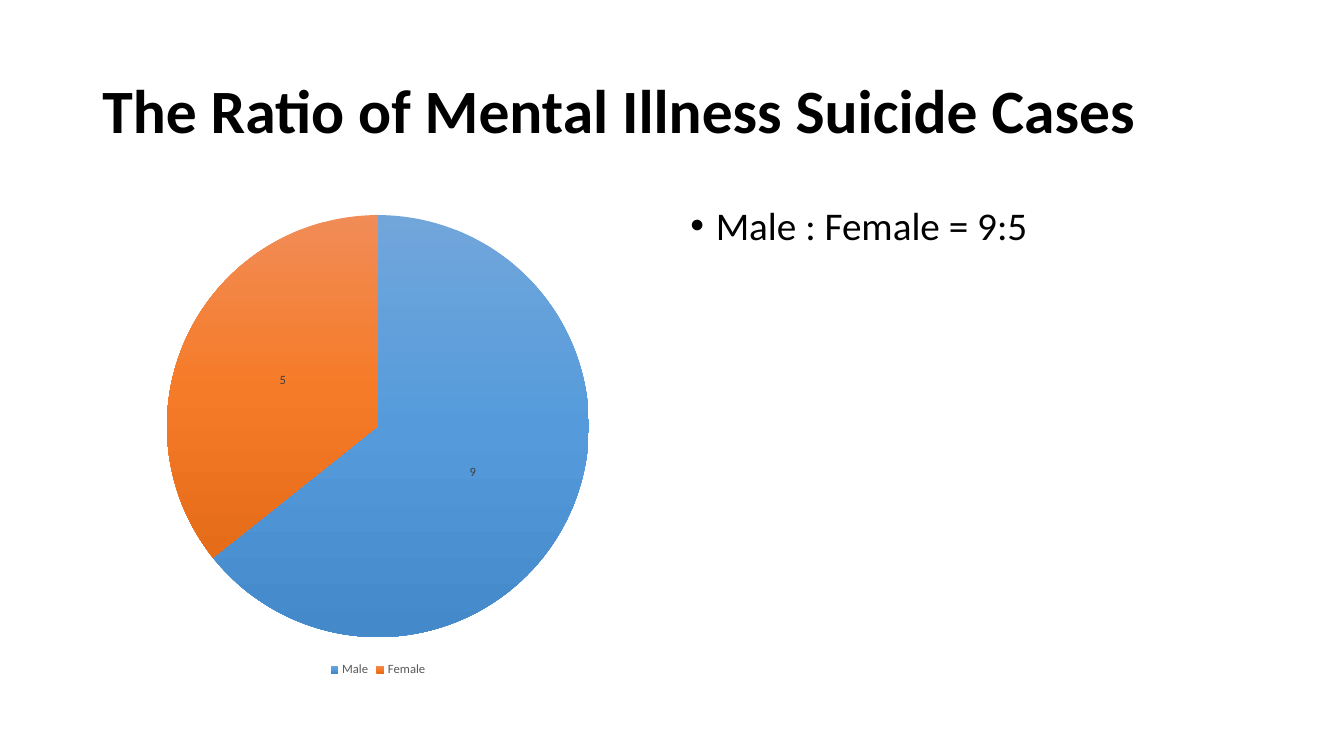
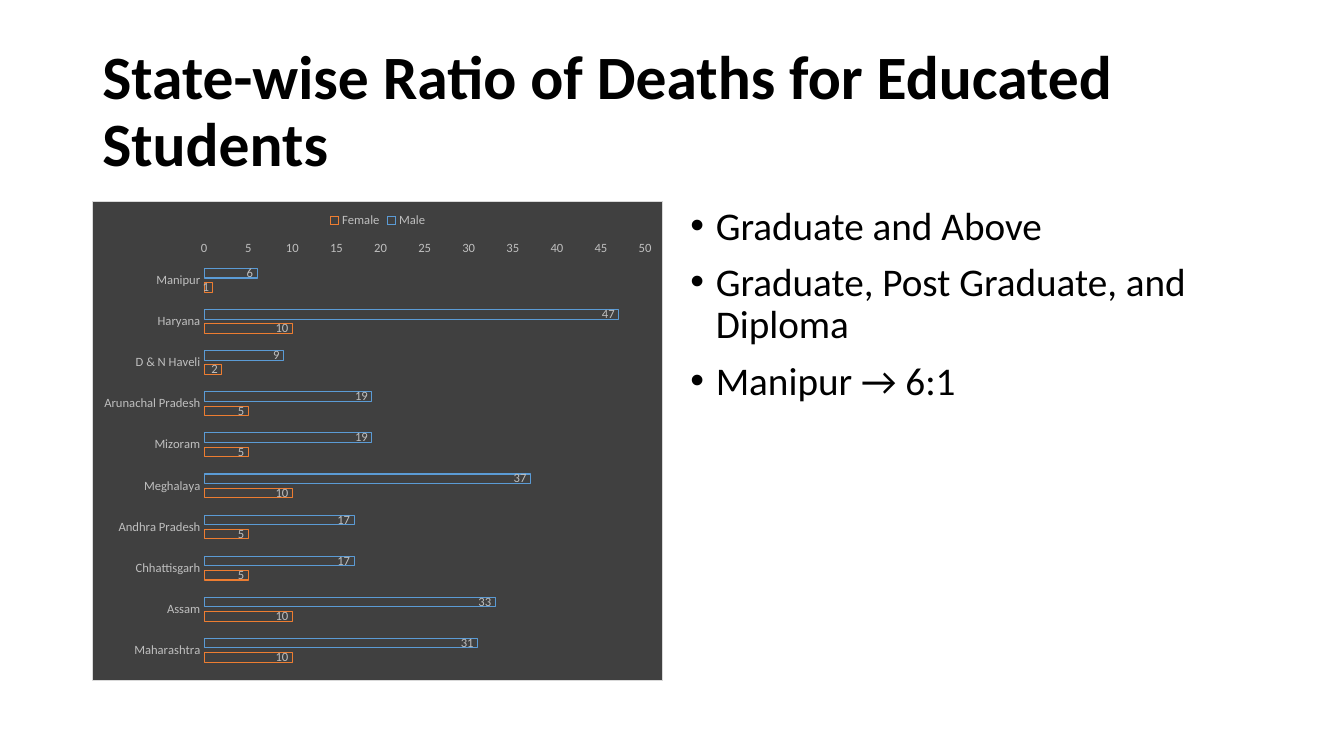
import pptx
import pptx.chart.data
import pptx.dml.color
import pptx.enum.chart
import pptx.enum.text
import pptx.oxml
import pptx.oxml.ns
import pptx.util

Cm = pptx.util.Cm
Pt = pptx.util.Pt
XL = pptx.enum.chart

# Shared look
COLOURS = {
    "text": "000000",
    "pie_label": "404040",
    "pie_legend": "595959",
    "panel": "404040",
    "panel_border": "D9D9D9",
    "panel_text": "BFBFBF",
    "male": "5B9BD5",
    "female": "ED7D31",
}
GRADIENTS = [
    ("71A6DB", "559BDB", "448ACA"),
    ("F18C57", "F67B28", "E56C19"),
]
TITLE_FORMAT = {"name": "Calibri", "size": Pt(44), "bold": True}
BODY_FORMAT = {"name": "Calibri", "size": Pt(28), "bold": False}
CHART_FORMAT = {"name": "Calibri", "size": Pt(9), "bold": False}

# Shared places: left, top, width, height
TITLE_AREA = (Cm(2.33), Cm(1.01), Cm(29.21), Cm(3.68))
CHART_AREA = (Cm(2.33), Cm(5.07), Cm(14.39), Cm(12.09))
BODY_AREA = (Cm(17.15), Cm(5.07), Cm(14.39), Cm(12.09))
BULLET_INDENT = Cm(0.64)

STATES = {  # state: (male, female)
    "Manipur": (6, 1),
    "Haryana": (47, 10),
    "D & N Haveli": (9, 2),
    "Arunachal Pradesh": (19, 5),
    "Mizoram": (19, 5),
    "Meghalaya": (37, 10),
    "Andhra Pradesh": (17, 5),
    "Chhattisgarh": (17, 5),
    "Assam": (33, 10),
    "Maharashtra": (31, 10),
}


def rgb(name):
    return pptx.dml.color.RGBColor.from_string(COLOURS[name])


def set_values(target, values):
    for key, value in values.items():
        setattr(target, key, value)


def format_font(font, values, colour):
    set_values(font, values)
    font.color.rgb = rgb(colour)


def drawing_xml(tag, content, attributes=""):
    """Build one element from its prefixed tag and inner XML."""
    namespaces = pptx.oxml.ns.nsdecls("a", "c")
    return pptx.oxml.parse_xml(
        f"<{tag} {namespaces} {attributes}>{content}</{tag}>")


# Text
def add_text(page, area, lines, values, anchor, bulleted=False):
    box = page.shapes.add_textbox(*area)
    frame = box.text_frame
    set_values(frame, {"word_wrap": True, "vertical_anchor": anchor})
    for index, line in enumerate(lines):
        para = frame.paragraphs[0] if index == 0 else frame.add_paragraph()
        if bulleted:
            add_bullet(para)
        set_values(para, {"line_spacing": 0.9,
                          "space_before": Pt(10 if index else 0)})
        span = para.add_run()
        span.text = line
        format_font(span.font, values, "text")


def add_bullet(para):
    properties = para._p.get_or_add_pPr()
    properties.set("marL", str(BULLET_INDENT))
    properties.set("indent", str(-BULLET_INDENT))
    properties.append(drawing_xml("a:buFont", "", 'typeface="Arial"'))
    properties.append(drawing_xml("a:buChar", "", 'char="•"'))


def add_page(deck, title, points):
    page = deck.slides.add_slide(deck.slide_layouts[6])
    anchors = pptx.enum.text.MSO_ANCHOR
    add_text(page, TITLE_AREA, [title], TITLE_FORMAT, anchors.MIDDLE)
    add_text(page, BODY_AREA, points, BODY_FORMAT, anchors.TOP, bulleted=True)
    return page


# Charts
def add_chart(page, kind, categories, series, legend_position, text_colour):
    data = pptx.chart.data.CategoryChartData()
    data.categories = categories
    for name, values in series.items():
        data.add_series(name, values)
    chart = page.shapes.add_chart(kind, *CHART_AREA, data).chart
    set_values(chart, {"has_title": False, "has_legend": True})
    format_font(chart.font, CHART_FORMAT, text_colour)
    set_values(chart.legend, {"position": legend_position,
                              "include_in_layout": False})
    format_font(chart.legend.font, CHART_FORMAT, text_colour)
    return chart


def add_labels(plot, position, colour):
    plot.has_data_labels = True
    set_values(plot.data_labels, {"show_value": True,
                                  "show_percentage": False,
                                  "position": position})
    format_font(plot.data_labels.font, CHART_FORMAT, colour)


def fill_gradient(point, stops):
    point.format.fill.gradient()
    properties = point.format.fill._xPr
    old_fill = properties.find(pptx.oxml.ns.qn("a:gradFill"))
    stop_xml = "".join(
        f'<a:gs pos="{index * 50000}"><a:srgbClr val="{stop}"/></a:gs>'
        for index, stop in enumerate(stops))
    properties.replace(old_fill, drawing_xml(
        "a:gradFill",
        f'<a:gsLst>{stop_xml}</a:gsLst><a:lin ang="5400000" scaled="0"/>'))
    point.format.line.fill.background()


def fill_chart_panel(chart):
    def solid(name):
        return (f'<a:solidFill><a:srgbClr val="{COLOURS[name]}"/>'
                "</a:solidFill>")

    panel = drawing_xml(
        "c:spPr",
        f'{solid("panel")}<a:ln w="{Pt(0.75)}">{solid("panel_border")}</a:ln>')
    chart.element.find(pptx.oxml.ns.qn("c:chart")).addnext(panel)


def format_axis(axis):
    set_values(axis, {"major_tick_mark": XL.XL_TICK_MARK.NONE,
                      "minor_tick_mark": XL.XL_TICK_MARK.NONE,
                      "has_major_gridlines": False})
    axis.format.line.fill.background()
    format_font(axis.tick_labels.font, CHART_FORMAT, "panel_text")


def add_gender_pie(page):
    chart = add_chart(page, XL.XL_CHART_TYPE.PIE, ["Male", "Female"],
                      {"Series 1": (9, 5)}, XL.XL_LEGEND_POSITION.BOTTOM,
                      "pie_legend")
    plot = chart.plots[0]
    plot.vary_by_categories = True
    add_labels(plot, XL.XL_LABEL_POSITION.CENTER, "pie_label")
    for index, stops in enumerate(GRADIENTS):
        fill_gradient(plot.series[0].points[index], stops)


def add_state_bars(page):
    male, female = zip(*STATES.values())
    chart = add_chart(page, XL.XL_CHART_TYPE.BAR_CLUSTERED, list(STATES),
                      {"Male": male, "Female": female},
                      XL.XL_LEGEND_POSITION.TOP, "panel_text")
    fill_chart_panel(chart)
    plot = chart.plots[0]
    set_values(plot, {"vary_by_categories": False,
                      "gap_width": 182, "overlap": -50})
    add_labels(plot, XL.XL_LABEL_POSITION.INSIDE_END, "panel_text")
    for series, colour in zip(plot.series, ("male", "female")):
        series.format.fill.background()
        series.format.line.color.rgb = rgb(colour)
        series.format.line.width = Pt(0.75)
    for axis in (chart.category_axis, chart.value_axis):
        format_axis(axis)
    chart.category_axis.reverse_order = True
    set_values(chart.value_axis, {"minimum_scale": 0, "maximum_scale": 50,
                                  "major_unit": 5})


def main():
    deck = pptx.Presentation()
    set_values(deck, {"slide_width": Cm(33.87), "slide_height": Cm(19.05)})

    # Overall ratio
    page = add_page(deck, "The Ratio of Mental Illness Suicide Cases",
                    ["Male : Female = 9:5"])
    add_gender_pie(page)

    # Ratio by state
    page = add_page(deck, "State-wise Ratio of Deaths for Educated Students",
                    ["Graduate and Above",
                     "Graduate, Post Graduate, and Diploma",
                     "Manipur → 6:1"])
    add_state_bars(page)

    deck.save("out.pptx")


if __name__ == "__main__":
    main()
